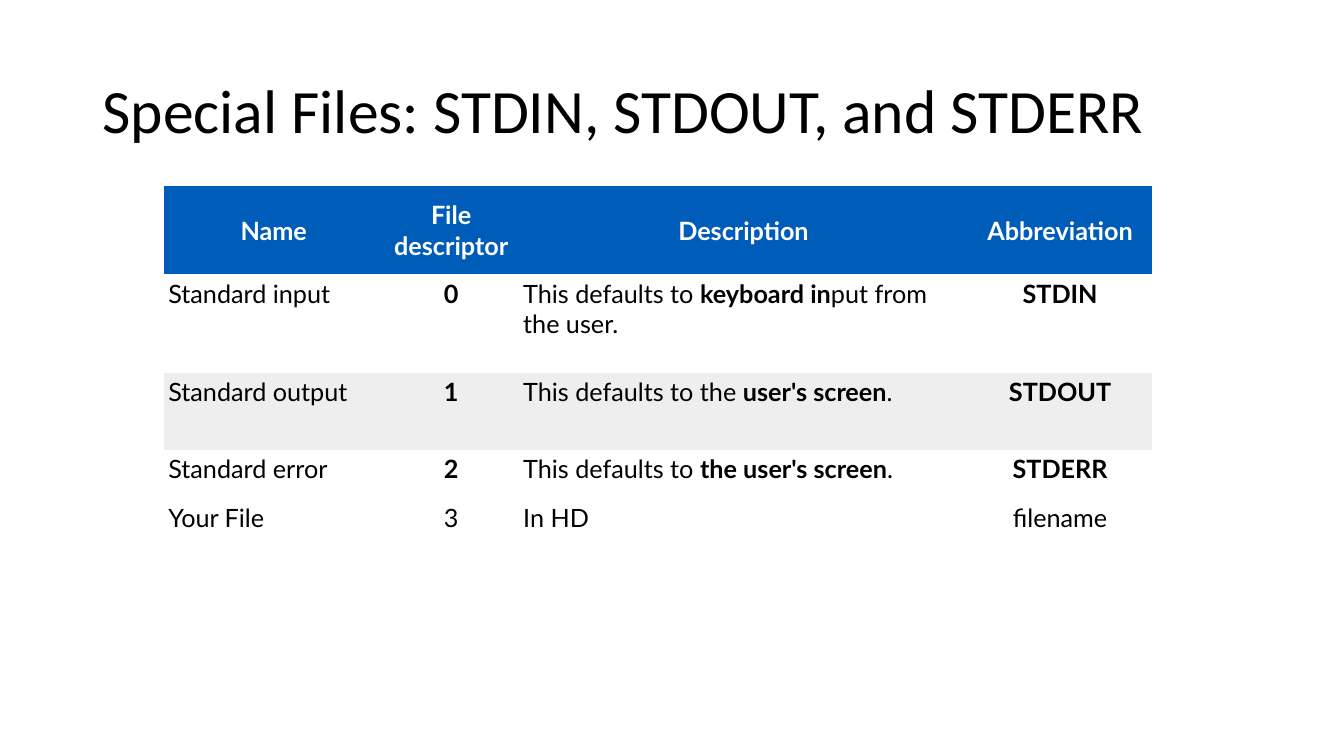
from pptx import Presentation
from pptx.dml.color import RGBColor
from pptx.enum import text
from pptx.util import Inches, Pt

BLACK = RGBColor(0x00, 0x00, 0x00)
WHITE = RGBColor(0xFF, 0xFF, 0xFF)
BLUE = RGBColor(0x00, 0x5C, 0xB9)
GREY = RGBColor(0xEE, 0xEE, 0xEE)
PLAIN_STYLE = "{2D5ABB26-0587-4C30-8999-92F81FD0307C}"

COLUMN_WIDTHS = [2.17, 1.35, 4.45, 1.83]
ROW_HEIGHTS = [0.87, 0.98, 0.76, 0.49, 0.49]
ROW_FILLS = [BLUE, WHITE, GREY, WHITE, WHITE]
CENTERED_COLUMNS = (1, 3)

# Asterisks enclose bold words.
STREAMS = [
    ["*Name*", "*File descriptor*", "*Description*", "*Abbreviation*"],
    ["Standard input", "*0*",
     "This defaults to *keyboard in*put from the user.", "*STDIN*"],
    ["Standard output", "*1*",
     "This defaults to the *user's screen*.", "*STDOUT*"],
    ["Standard error", "*2*",
     "This defaults to *the user's screen*.", "*STDERR*"],
    ["Your File", "3", "In HD", "filename"],
]


def write(paragraph, marked, font, size, color):
    """Fill a paragraph with runs, making the words between asterisks bold."""
    for i, words in enumerate(marked.split("*")):
        if words:
            run = paragraph.add_run()
            run.text = words
            run.font.name = font
            run.font.size = Pt(size)
            run.font.bold = i % 2 == 1
            run.font.color.rgb = color


prs = Presentation()
prs.slide_width = Inches(13.33)
prs.slide_height = Inches(7.5)
slide = prs.slides.add_slide(prs.slide_layouts[6])

title = slide.shapes.add_textbox(
    Inches(0.92), Inches(0.4), Inches(11.5), Inches(1.45)).text_frame
title.word_wrap = True
title.vertical_anchor = text.MSO_ANCHOR.MIDDLE
title.paragraphs[0].line_spacing = 0.9
write(title.paragraphs[0], "Special Files: STDIN, STDOUT, and STDERR",
      "Calibri", 44, BLACK)

frame = slide.shapes.add_table(
    len(ROW_HEIGHTS), len(COLUMN_WIDTHS), Inches(1.63), Inches(1.85),
    Inches(sum(COLUMN_WIDTHS)), Inches(sum(ROW_HEIGHTS)))
descriptors = frame.table
descriptors.horz_banding = False
for style in frame.element.iter("{*}tableStyleId"):
    style.text = PLAIN_STYLE

for column, width in zip(descriptors.columns, COLUMN_WIDTHS):
    column.width = Inches(width)

for r, stream in enumerate(STREAMS):
    header = r == 0
    descriptors.rows[r].height = Inches(ROW_HEIGHTS[r])
    for c, marked in enumerate(stream):
        cell = descriptors.cell(r, c)
        cell.fill.solid()
        cell.fill.fore_color.rgb = ROW_FILLS[r]
        inset = Inches(0.01 if header else 0.04)
        cell.margin_left = cell.margin_right = inset
        cell.margin_top = cell.margin_bottom = inset
        cell.vertical_anchor = (
            text.MSO_ANCHOR.MIDDLE if header else text.MSO_ANCHOR.TOP)
        paragraph = cell.text_frame.paragraphs[0]
        centered = header or c in CENTERED_COLUMNS
        paragraph.alignment = (
            text.PP_ALIGN.CENTER if centered else text.PP_ALIGN.LEFT)
        write(paragraph, marked, "Lato", 18, WHITE if header else BLACK)

prs.save("out.pptx")
